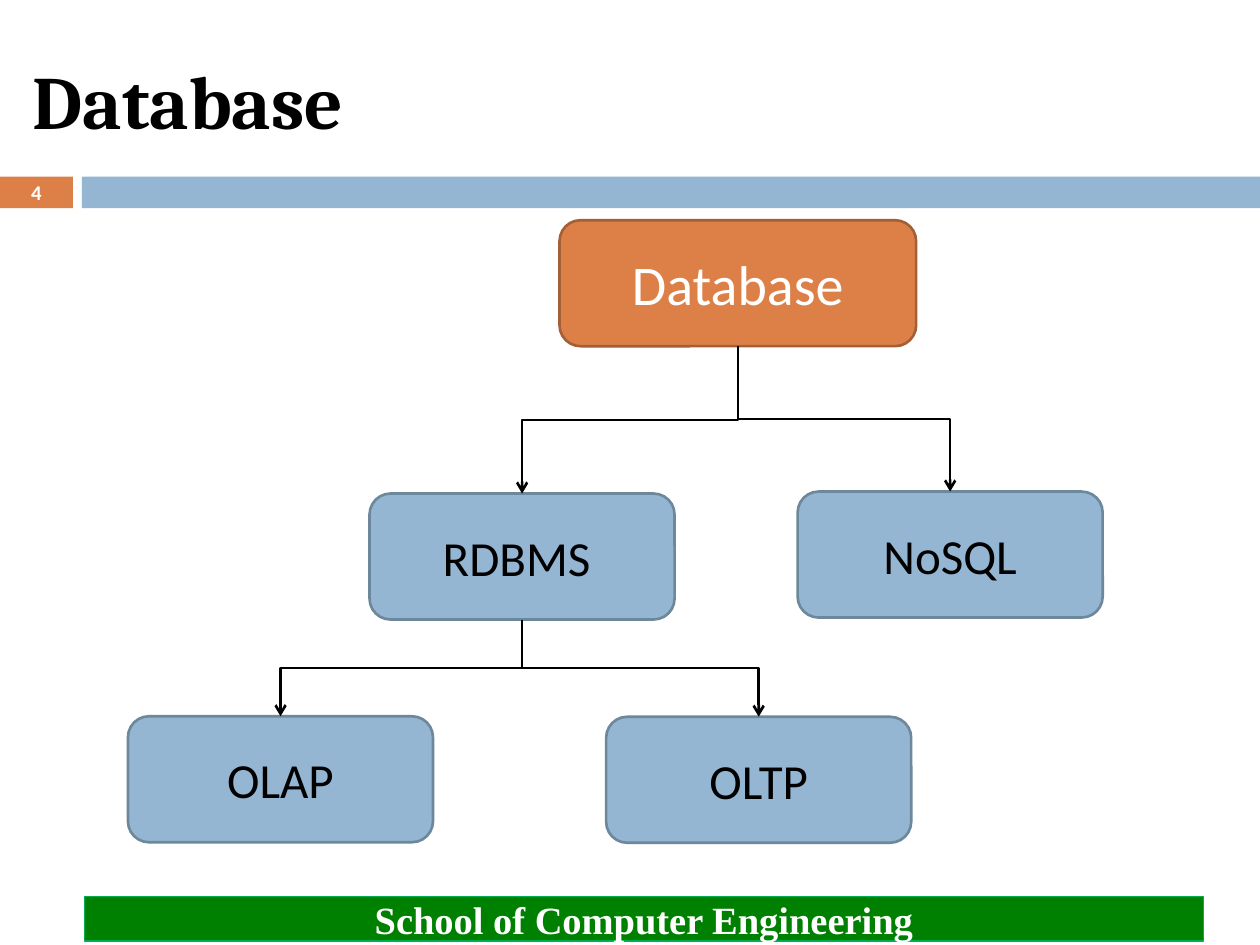
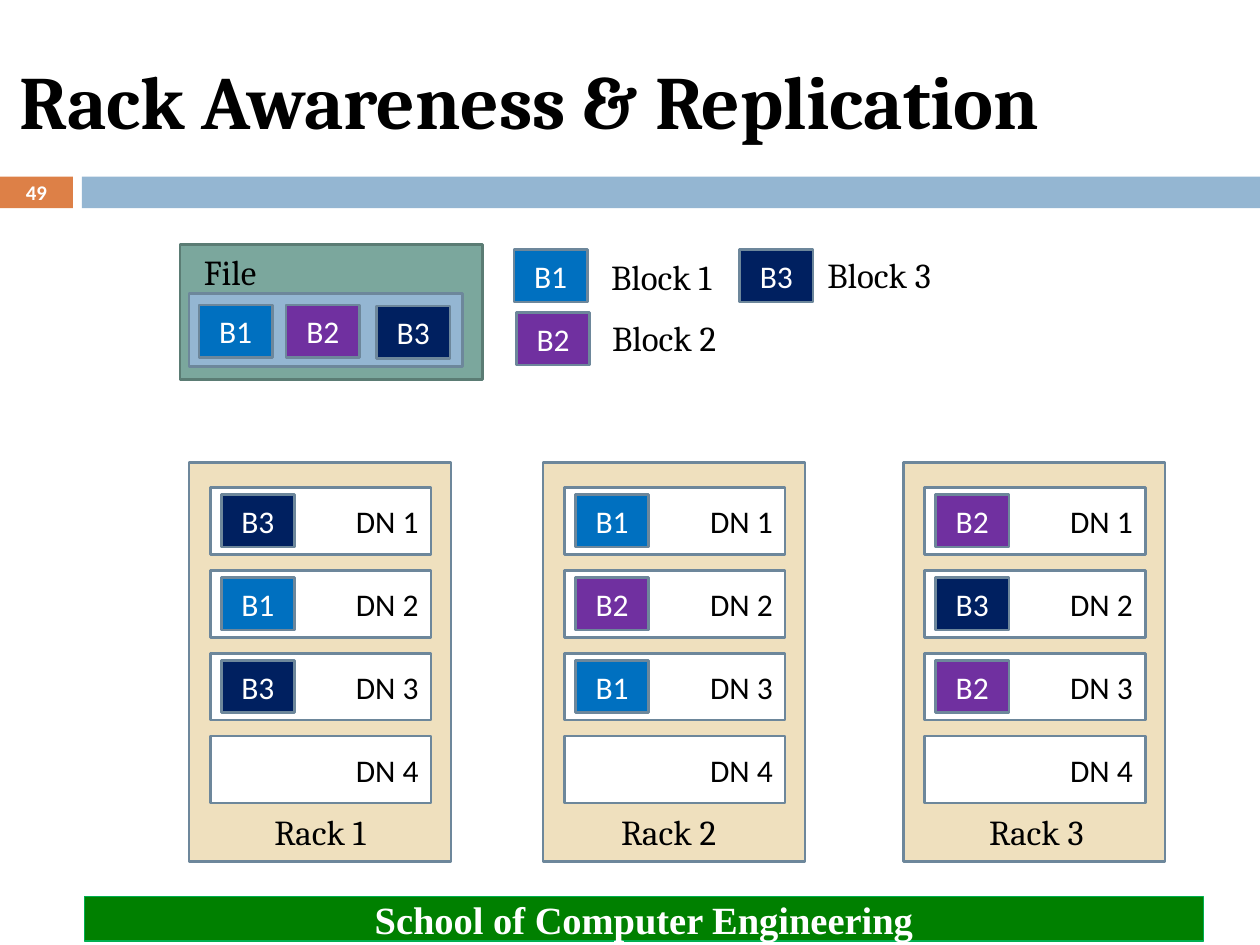
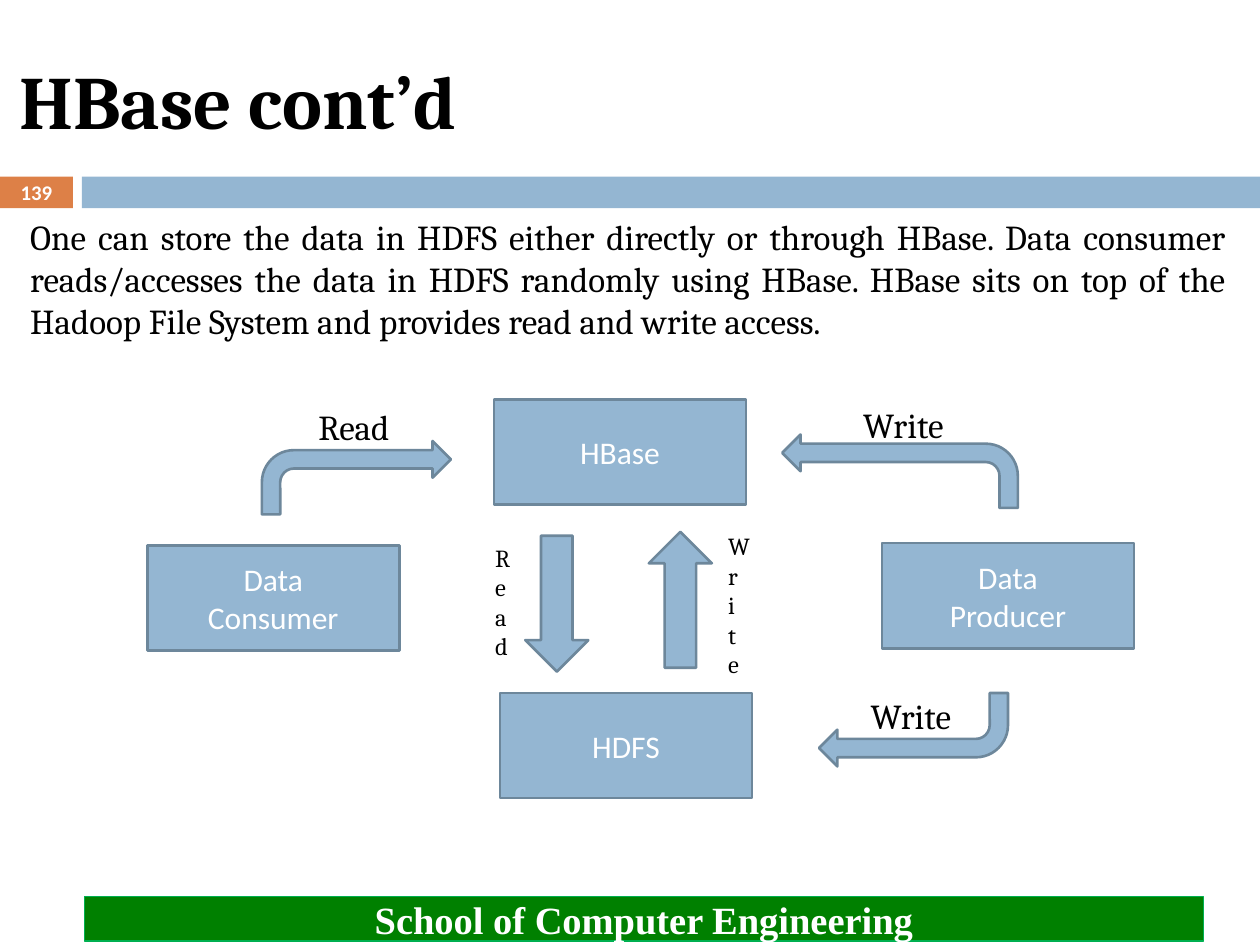
from lxml import etree
from pptx import Presentation
from pptx.enum import shapes, text
from pptx.oxml.ns import qn
from pptx.util import Cm, Pt
from pptx.dml.color import RGBColor

COLORS = {
    "orange": "DD8047", "orange_edge": "A35F35",
    "blue": "94B6D2", "blue_edge": "6D879B",
    "teal": "7BA79D", "teal_edge": "5B7C74",
    "green": "008000", "green_edge": "00B050",
    "sand": "EFE0BE", "white": "FFFFFF", "black": "000000",
    "B1": "0070C0", "B2": "7030A0", "B3": "002060",
}
RECT = shapes.MSO_SHAPE.RECTANGLE
ROUND = shapes.MSO_SHAPE.ROUNDED_RECTANGLE
BENT = shapes.MSO_SHAPE.BENT_ARROW
DOWN = shapes.MSO_SHAPE.DOWN_ARROW
LEFT, CENTER, RIGHT, JUSTIFY = (
    text.PP_ALIGN.LEFT, text.PP_ALIGN.CENTER, text.PP_ALIGN.RIGHT, text.PP_ALIGN.JUSTIFY)

NODE = {"name": "Calibri", "size": Pt(28), "color": "black"}
ROOT = {"name": "Calibri", "size": Pt(32), "color": "white"}
TILE = {"name": "Calibri", "size": Pt(18), "color": "white"}
DATA_NODE = {"name": "Calibri", "size": Pt(18), "color": "black"}
CAPTION = {"name": "Cambria", "size": Pt(20), "color": "black"}
SIDE = {"name": "Cambria", "size": Pt(14), "color": "black"}
TITLE = {"name": "Cambria", "size": Pt(43), "bold": True, "color": "black"}
FOOTER = {"name": "Times New Roman", "size": Pt(22), "bold": True, "color": "white"}
NUMBER = {"name": "Calibri", "size": Pt(11.9), "bold": True, "color": "white"}


def write(frame, words, style, align):
    frame.text = words
    for paragraph in frame.paragraphs:
        paragraph.alignment = align
        for key, value in style.items():
            if key == "color":
                paragraph.font.color.rgb = RGBColor.from_string(COLORS[value])
            else:
                setattr(paragraph.font, key, value)


def draw(slide, kind, at, words="", style=TILE, align=CENTER,
         fill="blue", edge="blue_edge", weight=1.5, wrap=True):
    place = [Cm(value) for value in at]
    if kind is None:
        item = slide.shapes.add_textbox(*place)
        item.text_frame.auto_size = text.MSO_AUTO_SIZE.SHAPE_TO_FIT_TEXT
    else:
        item = slide.shapes.add_shape(kind, *place)
        item.shadow.inherit = False
        item.fill.solid()
        item.fill.fore_color.rgb = RGBColor.from_string(COLORS[fill])
        if edge:
            item.line.color.rgb = RGBColor.from_string(COLORS[edge])
            item.line.width = Pt(weight)
        else:
            item.line.fill.background()
        item.text_frame.vertical_anchor = text.MSO_ANCHOR.MIDDLE
    item.text_frame.word_wrap = wrap
    if words:
        write(item.text_frame, words, style, align)
    return item


deck = Presentation()
deck.slide_width, deck.slide_height = Cm(25.4), Cm(19.05)

pages = []
for heading, number, title_left in [
    ("Database", "4", 0.41),
    ("Rack Awareness & Replication", "49", 0.13),
    ("HBase cont’d", "139", 0.13),
]:
    slide = deck.slides.add_slide(deck.slide_layouts[5])
    title = slide.shapes.title
    frame = {"left": title_left, "top": 0.64, "width": 22.66, "height": 2.74}
    for key, value in frame.items():
        setattr(title, key, Cm(value))
    title.text_frame.vertical_anchor = text.MSO_ANCHOR.MIDDLE
    write(title.text_frame, heading, TITLE, LEFT)
    draw(slide, RECT, (0, 3.56, 1.47, 0.64), number, NUMBER, fill="orange", edge=None)
    draw(slide, RECT, (1.65, 3.56, 23.75, 0.64), edge=None)
    draw(slide, RECT, (1.7, 18.08, 22.56, 0.89), "School of Computer Engineering", FOOTER,
         fill="green", edge="green_edge", weight=0.75)
    pages.append(slide)
tree, racks, hbase = pages

database = draw(tree, ROUND, (11.28, 4.44, 7.19, 2.54), "Database", ROOT,
                fill="orange", edge="orange_edge")
rdbms, nosql, olap, oltp = [
    draw(tree, ROUND, (x, y, 6.15, 2.54), words, NODE)
    for words, x, y in [("RDBMS ", 7.45, 9.95), ("NoSQL", 16.08, 9.91),
                        ("OLAP", 2.58, 14.44), ("OLTP", 12.22, 14.45)]
]
for parent, child in [(database, rdbms), (database, nosql), (rdbms, olap), (rdbms, oltp)]:
    start_x, start_y = parent.left + parent.width // 2, parent.top + parent.height
    end_x, end_y = child.left + child.width // 2, child.top
    branch = tree.shapes.add_connector(
        shapes.MSO_CONNECTOR.ELBOW, start_x, start_y, end_x, end_y)
    branch.begin_connect(parent, 2)
    branch.end_connect(child, 0)
    drop, spread = end_y - start_y, abs(end_x - start_x)
    turned = {
        "left": (start_x + end_x - drop) // 2, "top": (start_y + end_y - spread) // 2,
        "width": drop, "height": spread,
    }
    for key, value in turned.items():
        setattr(branch, key, value)
    to_right = end_x > start_x
    properties = branch._element.spPr
    xfrm = properties.find(qn("a:xfrm"))
    xfrm.set("rot", "16200000" if to_right else "5400000")
    xfrm.set("flipH", "1" if to_right else "0")
    branch.line.color.rgb = RGBColor.from_string(COLORS["black"])
    branch.line.width = Pt(1.5)
    etree.SubElement(properties.find(qn("a:ln")), qn("a:tailEnd"), type="arrow")
    etree.SubElement(properties, qn("a:effectLst"))

draw(racks, RECT, (3.63, 4.93, 6.1, 2.72), fill="teal", edge="teal_edge")
draw(racks, RECT, (3.81, 5.92, 5.51, 1.47))
draw(racks, None, (3.86, 4.93, 1.63, 1.12), "File", CAPTION, LEFT, wrap=False)

tiles = [("B1", 4.01, 6.15), ("B2", 5.77, 6.15), ("B3", 7.59, 6.17)]
for block, x, y, caption_x, caption_y in [
    ("B1", 10.36, 5.03, 12.07, 5.03),
    ("B2", 10.41, 6.3, 12.09, 6.25),
    ("B3", 14.91, 5.03, 16.43, 4.98),
]:
    tiles.append((block, x, y))
    draw(racks, None, (caption_x, caption_y, 2.77, 1.12), f"Block {block[1]}",
         CAPTION, LEFT, wrap=False)

for rack, (rack_x, name_x, stored) in enumerate([
    (3.81, 5.28, ["B3", "B1", "B3"]),
    (10.95, 12.27, ["B1", "B2", "B1"]),
    (18.21, 19.69, ["B2", "B3", "B2"]),
], start=1):
    draw(racks, RECT, (rack_x, 9.32, 5.28, 8.05), fill="sand")
    for row in range(4):
        row_y = 9.83 + 1.67 * row
        draw(racks, RECT, (rack_x + 0.43, row_y, 4.45, 1.35), f"DN {row + 1}",
             DATA_NODE, RIGHT, fill="white")
        if row < len(stored):
            tiles.append((stored[row], rack_x + 0.65, row_y + 0.14))
    draw(racks, None, (name_x, 16.21, 2.54, 1.12), f"Rack {rack}", CAPTION, LEFT, wrap=False)

for block, x, y in tiles:
    draw(racks, RECT, (x, y, 1.48, 1.06), block, fill=block)

summary = draw(
    hbase, None, (0.2, 4.22, 24.77, 2.82),
    "One can store the data in HDFS either directly or through HBase. Data consumer "
    "reads/accesses the data in HDFS randomly using HBase. HBase sits on top of the "
    "Hadoop File System and provides read and write access.", CAPTION, JUSTIFY)
summary.text_frame.margin_left = Cm(0.41)

for words, x, y in [("Data\nConsumer", 2.97, 11), ("Data\nProducer", 17.78, 10.95),
                    ("HBase", 9.96, 8.05), ("HDFS", 10.08, 13.97)]:
    draw(hbase, RECT, (x, y, 5.08, 2.12), words)

for kind, at, rotation, flipped in [
    (BENT, (5.28, 8.89, 3.81, 1.48), 0, False),
    (BENT, (16.51, 13.97, 3.81, 1.48), 180, False),
    (BENT, (15.77, 8.76, 4.75, 1.48), 0, True),
    (DOWN, (10.59, 10.8, 1.27, 2.74), 0, False),
    (DOWN, (13.08, 10.72, 1.27, 2.74), 180, False),
]:
    flow = draw(hbase, kind, at)
    flow.rotation = rotation
    if flipped:
        flow._element.spPr.find(qn("a:xfrm")).set("flipH", "1")

for words, at, style, wrap in [
    ("Read", (6.17, 8.05, 2.03, 1.12), CAPTION, False),
    ("Write", (17.15, 8, 2.21, 1.12), CAPTION, False),
    ("Write", (17.3, 13.87, 2.21, 1.12), CAPTION, False),
    ("R\ne\na\nd", (9.73, 10.82, 0.81, 2.64), SIDE, False),
    ("W\nr\ni\nt\ne", (14.43, 10.59, 0.86, 3.25), SIDE, True),
]:
    draw(hbase, None, at, words, style, LEFT, wrap=wrap)

deck.save("out.pptx")
